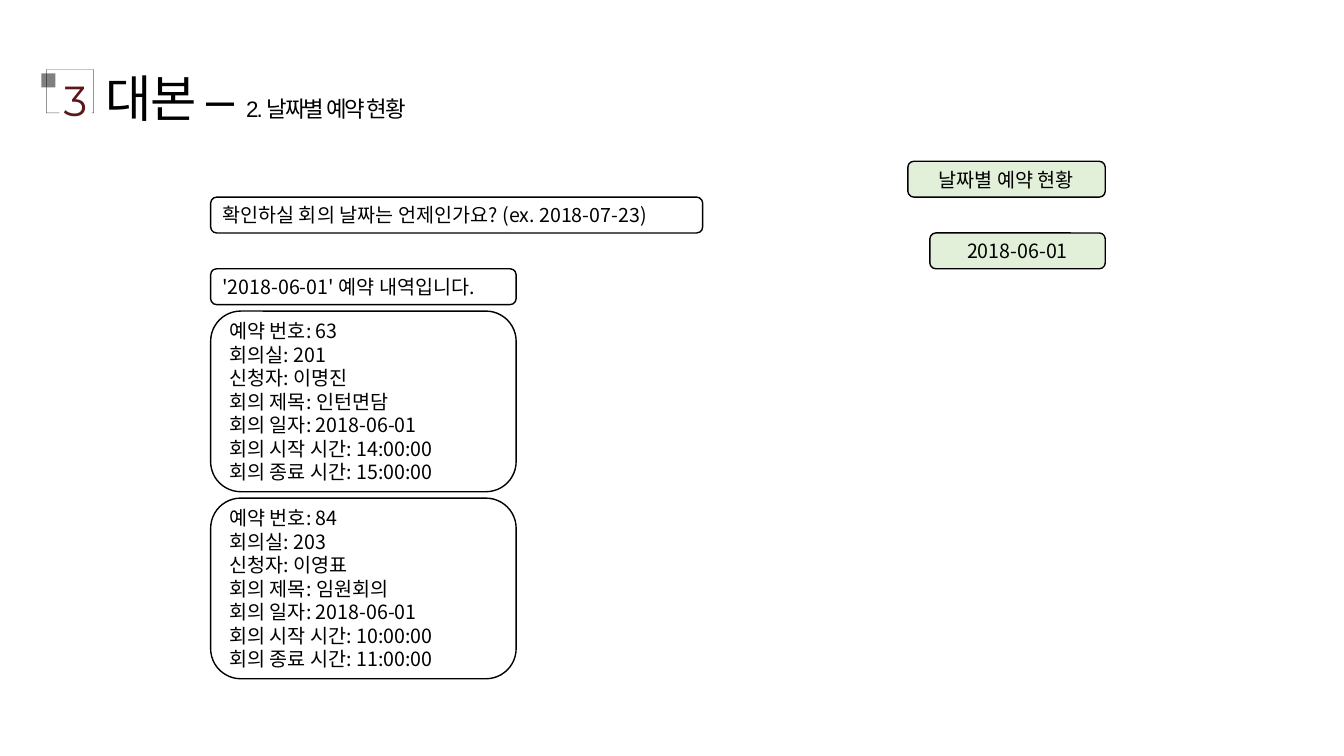
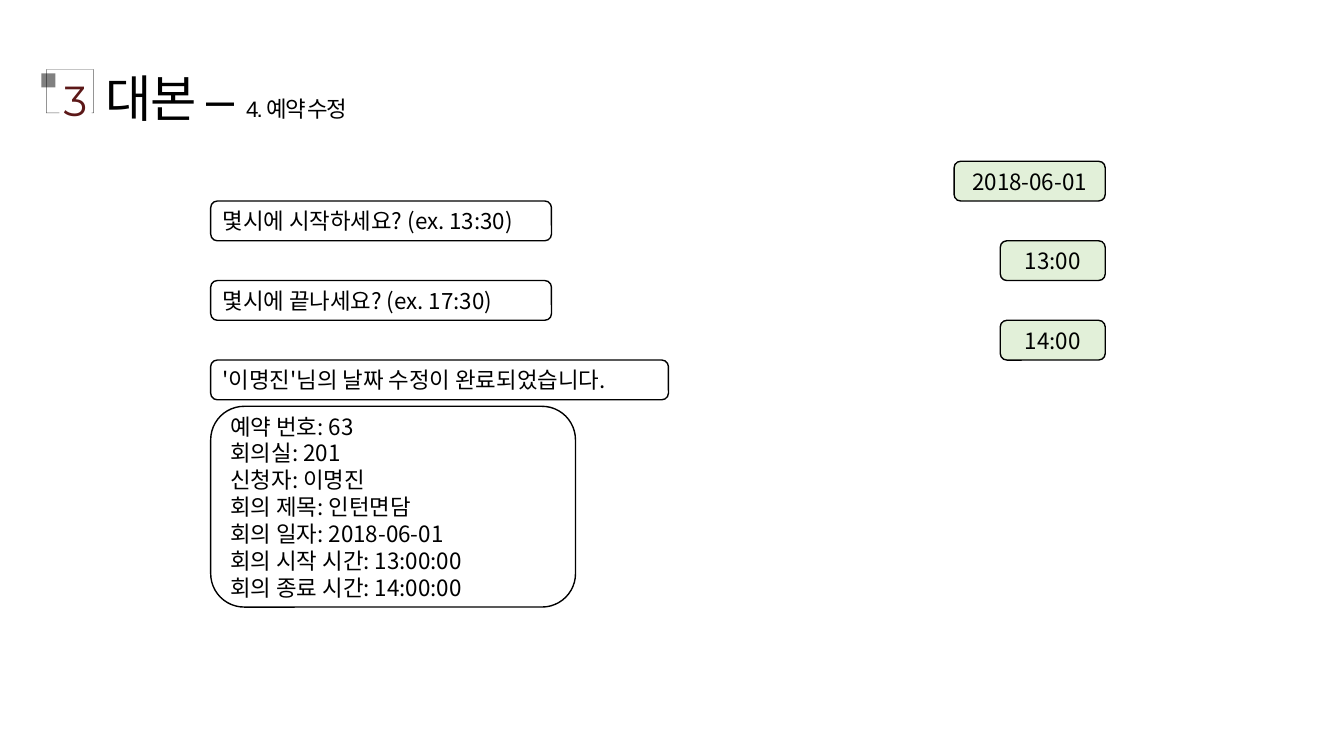
"""Build two chatbot dialogue slides: bookings by date and changing a booking."""
from lxml import etree
from pptx import Presentation
from pptx.dml.color import RGBColor
from pptx.enum.shapes import MSO_SHAPE
from pptx.enum.text import MSO_ANCHOR, MSO_AUTO_SIZE, PP_ALIGN
from pptx.oxml.ns import qn
from pptx.util import Pt

RECT, ROUNDED = MSO_SHAPE.RECTANGLE, MSO_SHAPE.ROUNDED_RECTANGLE
TOP, MIDDLE = MSO_ANCHOR.TOP, MSO_ANCHOR.MIDDLE
LEFT, CENTER = PP_ALIGN.LEFT, PP_ALIGN.CENTER

COLORS = {"ink": "000000", "paper": "FFFFFF", "user": "E2F0D9",
          "square": "808080", "number": "5C1818"}
HEADING_FONT, NUMBER_FONT, CHAT_FONT = "Arial", "Montserrat", "Noto Sans CJK KR"

SECTION_NUMBER = "3"
SECTION = "대본 – "
BOT, USER, CARD = "bot", "user", "card"
FIELDS = ("예약 번호", "회의실", "신청자", "회의 제목", "회의 일자",
          "회의 시작 시간", "회의 종료 시간")

DIALOGUES = [
    {"topic": "2. 날짜별 예약 현황", "title_width": 245,
     "size": 14, "bubble_height": 25.6, "card_height": 129,
     "messages": [
         (USER, 141, "날짜별 예약 현황"),
         (BOT, 351.4, "확인하실 회의 날짜는 언제인가요? (ex. 2018-07-23)"),
         (USER, 125.3, "2018-06-01"),
         (BOT, 218.2, "'2018-06-01' 예약 내역입니다."),
         (CARD, 218.2, ("63", "201", "이명진", "인턴면담", "2018-06-01",
                        "14:00:00", "15:00:00")),
         (CARD, 218.2, ("84", "203", "이영표", "임원회의", "2018-06-01",
                        "10:00:00", "11:00:00")),
     ]},
    {"topic": "4. 예약 수정", "title_width": 180,
     "size": 16, "bubble_height": 28.4, "card_height": 143.4,
     "messages": [
         (USER, 108, "2018-06-01"),
         (BOT, 243.4, "몇시에 시작하세요? (ex. 13:30)"),
         (USER, 75, "13:00"),
         (BOT, 243.4, "몇시에 끝나세요? (ex. 17:30)"),
         (USER, 75, "14:00"),
         (BOT, 327, "'이명진'님의 날짜 수정이 완료되었습니다."),
         (CARD, 260.6, ("63", "201", "이명진", "인턴면담", "2018-06-01",
                        "13:00:00", "14:00:00")),
     ]},
]

CHAT_LEFT, CHAT_RIGHT, CHAT_TOP, CARD_GAP = 150.5, 789.5, 115.2, 4.6
LINE_RATIO = 1.2


def rgb(name):
    return RGBColor.from_string(COLORS[name])


def add_box(slide, preset, bounds, fill=None, line_width=None):
    box = slide.shapes.add_shape(preset, *(Pt(value) for value in bounds))
    box.shadow.inherit = False
    if fill:
        box.fill.solid()
        box.fill.fore_color.rgb = rgb(fill)
    else:
        box.fill.background()
    if line_width:
        box.line.color.rgb = rgb("ink")
        box.line.width = Pt(line_width)
    else:
        box.line.fill.background()
    return box


def add_run(paragraph, text, size, font, color="ink", spacing=None):
    run = paragraph.add_run()
    run.text = text
    run.font.size = Pt(size)
    run.font.name = font
    run.font.color.rgb = rgb(color)
    properties = run.font._element
    latin = properties.find(qn("a:latin"))
    east_asian = etree.Element(qn("a:ea"), typeface=font)
    latin.addnext(east_asian)
    if spacing is not None:
        properties.set("spc", str(round(spacing * 100)))


def set_frame(frame, anchor, wrap, side=0):
    frame.vertical_anchor = anchor
    frame.word_wrap = wrap
    frame.auto_size = MSO_AUTO_SIZE.NONE
    frame.margin_left = frame.margin_right = Pt(side)
    frame.margin_top = frame.margin_bottom = 0


def add_header(slide, topic, width):
    add_box(slide, RECT, (29.5, 52.5, 10, 10), "square")
    outline = add_box(slide, RECT, (33.1, 49.7, 33.8, 31), line_width=0.3)
    color = outline.line._ln.find(".//" + qn("a:srgbClr"))
    etree.SubElement(color, qn("a:alpha"), val="64000")

    badge = add_box(slide, RECT, (42.5, 53.3, 23, 36), "paper")
    set_frame(badge.text_frame, TOP, False, 1.4)
    number = badge.text_frame.paragraphs[0]
    number.alignment = CENTER
    add_run(number, SECTION_NUMBER, 30, NUMBER_FONT, "number")

    title = slide.shapes.title
    title.left, title.top, title.width, title.height = (
        Pt(value) for value in (75.6, 48, width, 44))
    set_frame(title.text_frame, TOP, True)
    heading = title.text_frame.paragraphs[0]
    heading.alignment = LEFT
    for text, size in ((SECTION, 36), (topic, 16)):
        add_run(heading, text, size, HEADING_FONT, spacing=-1.5)


def add_message(slide, sender, bounds, lines, size):
    bubble = add_box(slide, ROUNDED, bounds,
                     "user" if sender == USER else "paper", 1)
    frame = bubble.text_frame
    set_frame(frame, MIDDLE, True, 7.2)
    for index, line in enumerate(lines):
        paragraph = frame.add_paragraph() if index else frame.paragraphs[0]
        paragraph.alignment = CENTER if sender == USER else LEFT
        paragraph.line_spacing = Pt(size * LINE_RATIO)
        add_run(paragraph, line, size, CHAT_FONT)


def add_dialogue(slide, dialogue):
    top = CHAT_TOP
    for sender, width, content in dialogue["messages"]:
        if sender == CARD:
            top += CARD_GAP
            height = dialogue["card_height"]
            lines = [f"{field}: {value}" for field, value in zip(FIELDS, content)]
        else:
            height = dialogue["bubble_height"]
            lines = [content]
        left = CHAT_RIGHT - width if sender == USER else CHAT_LEFT
        add_message(slide, sender, (left, top, width, height), lines, dialogue["size"])
        top += height


def main():
    deck = Presentation()
    deck.slide_width, deck.slide_height = Pt(960), Pt(540)
    for dialogue in DIALOGUES:
        slide = deck.slides.add_slide(deck.slide_layouts[5])
        add_header(slide, dialogue["topic"], dialogue["title_width"])
        add_dialogue(slide, dialogue)
    deck.save("out.pptx")


if __name__ == "__main__":
    main()
